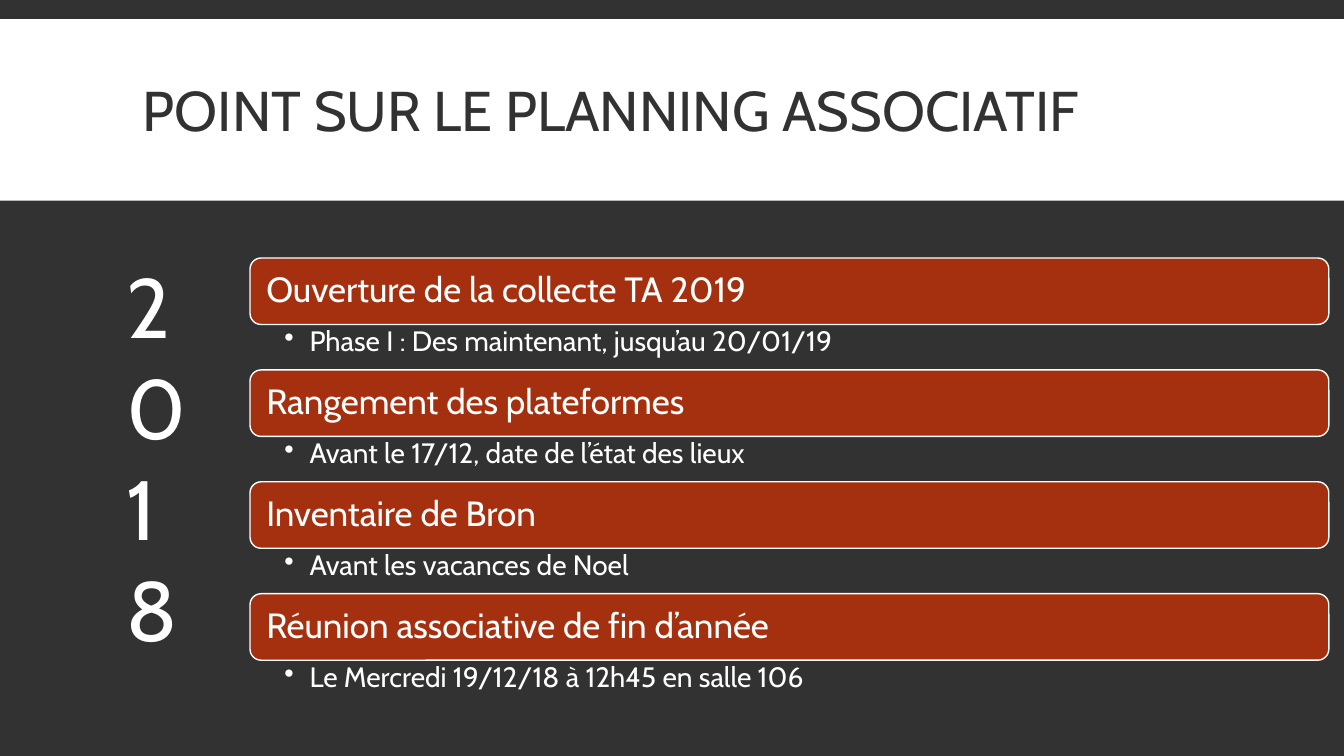
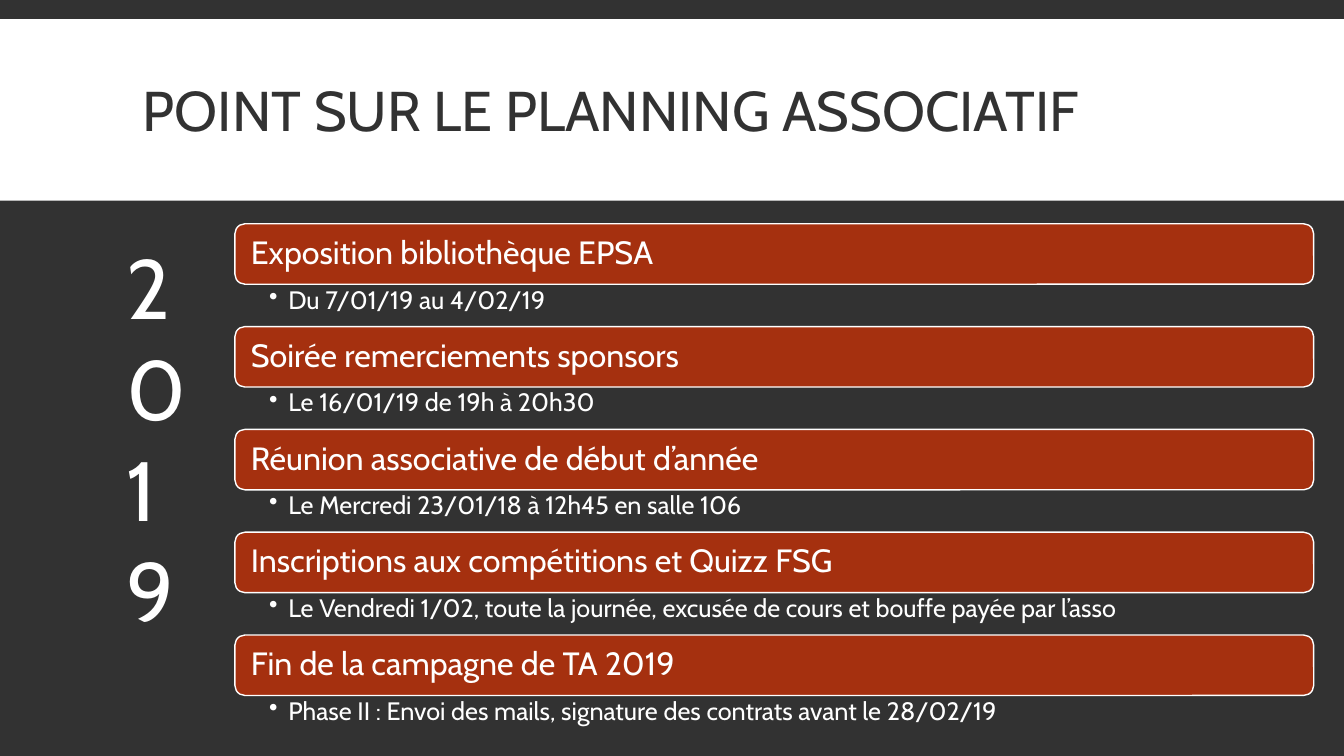
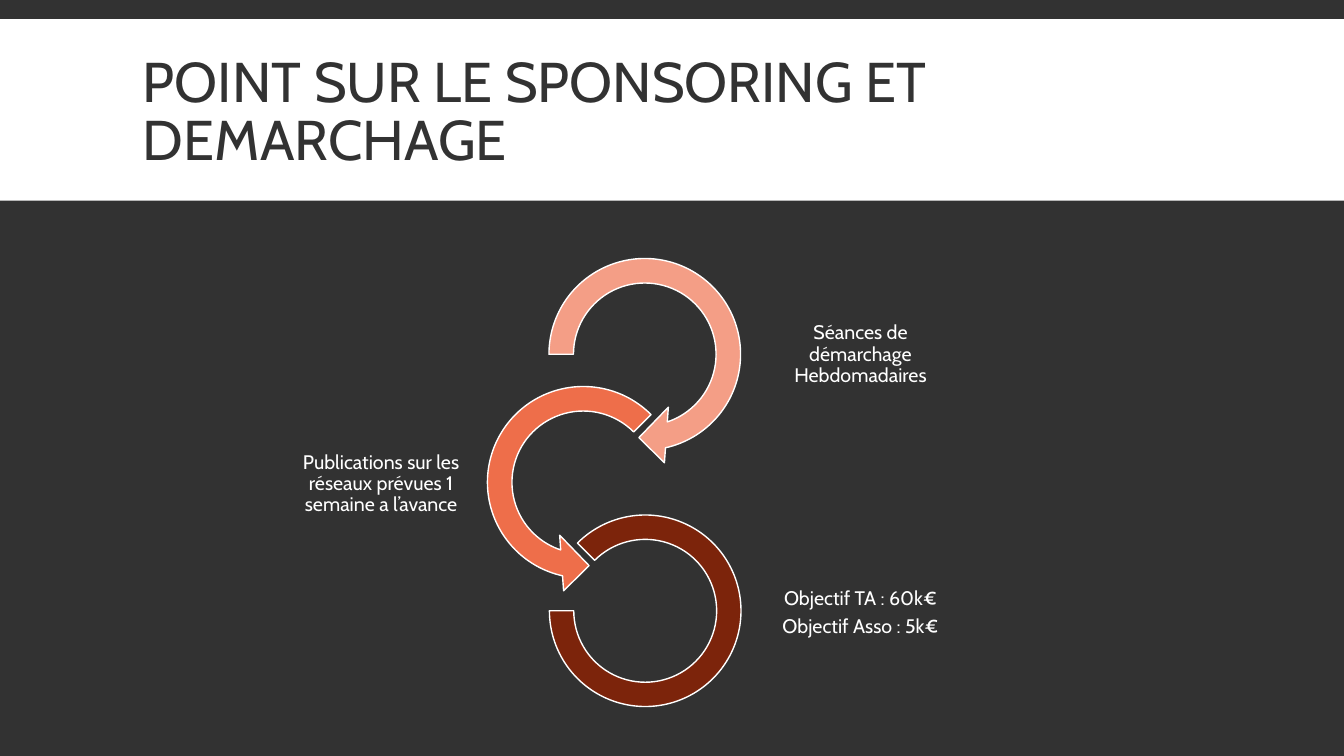
from lxml.etree import SubElement
from pptx import Presentation
from pptx.dml.color import RGBColor
from pptx.enum.shapes import MSO_SHAPE
from pptx.enum.text import MSO_ANCHOR, PP_ALIGN
from pptx.oxml.ns import qn
from pptx.util import Inches, Pt

COLOURS = {
    "dark": "323232",
    "white": "FFFFFF",
    "bar": "A5300F",
    "salmon": "F49E86",
    "orange": "EE6E4A",
    "brown": "7C240B",
}


def colour(name):
    return RGBColor.from_string(COLOURS[name])


def write(box, text, size, ink="white", align=PP_ALIGN.LEFT, anchor=MSO_ANCHOR.TOP,
          margins=(0.1, 0.05, 0.1, 0.05), spacing=0.9, after=0, hanging=None):
    frame = box.text_frame
    frame.word_wrap = True
    frame.vertical_anchor = anchor
    frame.margin_left, frame.margin_top, frame.margin_right, frame.margin_bottom = map(Inches, margins)
    for index, line in enumerate(text.split("\n")):
        para = frame.add_paragraph() if index else frame.paragraphs[0]
        if hanging:
            properties = para._p.get_or_add_pPr()
            properties.set("marL", str(Inches(hanging)))
            properties.set("indent", str(-Inches(hanging)))
            SubElement(properties, qn("a:buChar")).set("char", "•")
        para.alignment = align
        para.line_spacing = spacing
        para.space_after = Pt(after)
        span = para.add_run()
        span.text = line
        span.font.name = "Cabin"
        span.font.size = Pt(size)
        span.font.color.rgb = colour(ink)


class Planner:
    def __init__(self):
        self.deck = Presentation()
        self.deck.slide_width = Inches(13.33)
        self.deck.slide_height = Inches(7.5)
        self.page = None

    def start(self, title):
        self.page = self.deck.slides.add_slide(self.deck.slide_layouts[6])
        background = self.page.background.fill
        background.solid()
        background.fore_color.rgb = colour("dark")
        self.shape(MSO_SHAPE.RECTANGLE, 0, 0.19, 13.33, 1.8, "white", outlined=False)
        self.label(title, 1.32, 0.31, 10.7, 1.65, size=40, ink="dark",
                   anchor=MSO_ANCHOR.MIDDLE, spacing=0.85)

    def shape(self, kind, left, top, width, height, fill, outlined=True, adjustments=()):
        shape = self.page.shapes.add_shape(kind, *map(Inches, (left, top, width, height)))
        shape.shadow.inherit = False
        shape.fill.solid()
        shape.fill.fore_color.rgb = colour(fill)
        if outlined:
            shape.line.color.rgb = colour("white")
            shape.line.width = Pt(1)
        else:
            shape.line.fill.background()
        for index, value in enumerate(adjustments):
            shape.adjustments[index] = value
        return shape

    def label(self, text, left, top, width, height, **style):
        box = self.page.shapes.add_textbox(*map(Inches, (left, top, width, height)))
        write(box, text, **style)

    def year(self, text, top):
        self.label(text, 1.16, top, 0.88, 4.14, size=60, spacing=1)

    def agenda(self, events, left, top, pitch, bar_height, sizes, hanging):
        for index, (heading, detail) in enumerate(events):
            bar_top = top + index * pitch
            bar = self.shape(MSO_SHAPE.ROUNDED_RECTANGLE, left, bar_top, 10.7, bar_height, "bar")
            write(bar, heading, sizes[0], anchor=MSO_ANCHOR.MIDDLE, margins=(0.13, 0.1, 0.13, 0.1))
            self.label(detail, left, bar_top + bar_height, 10.7, pitch - bar_height, size=sizes[1],
                       margins=(0.34, 0.03, 0.18, 0.03), hanging=hanging)

    def caption(self, text, left, top, width):
        self.label(text, left, top, width, 0.62, size=14, align=PP_ALIGN.CENTER,
                   anchor=MSO_ANCHOR.MIDDLE, margins=(0.01,) * 4, after=5)


def main():
    planner = Planner()
    planning_title = "POINT SUR LE PLANNING ASSOCIATIF"

    planner.start(planning_title)
    planner.agenda([
        ("Ouverture de la collecte TA 2019", "Phase I : Des maintenant, jusqu’au 20/01/19"),
        ("Rangement des plateformes", "Avant le 17/12, date de l’état des lieux"),
        ("Inventaire de Bron", "Avant les vacances de Noel"),
        ("Réunion associative de fin d’année", "Le Mercredi 19/12/18 à 12h45 en salle 106"),
    ], left=2.48, top=2.56, pitch=1.11, bar_height=0.66, sizes=(25, 20), hanging=0.25)
    planner.year("2018", 2.48)

    planner.start(planning_title)
    planner.agenda([
        ("Exposition bibliothèque EPSA", "Du 7/01/19 au 4/02/19"),
        ("Soirée remerciements sponsors", "Le 16/01/19 de 19h à 20h30"),
        ("Réunion associative de début d’année", "Le Mercredi 23/01/18 à 12h45 en salle 106"),
        ("Inscriptions aux compétitions et Quizz FSG",
         "Le Vendredi 1/02, toute la journée, excusée de cours et bouffe payée par l’asso"),
        ("Fin de la campagne de TA 2019",
         "Phase II : Envoi des mails, signature des contrats avant le 28/02/19"),
    ], left=2.33, top=2.22, pitch=1.02, bar_height=0.6, sizes=(23, 18), hanging=0.19)
    planner.year("2019", 2.29)

    planner.start("POINT SUR LE SPONSORING ET DEMARCHAGE")
    planner.shape(MSO_SHAPE.CIRCULAR_ARROW, 5.29, 2.41, 2.21, 2.21, "salmon",
                  adjustments=(0.11, 11.42, 45, 108, 0.125))
    planner.caption("Séances de démarchage Hebdomadaires", 7.7, 3.21, 1.67)
    planner.shape(MSO_SHAPE.LEFT_CIRCULAR_ARROW, 4.68, 3.68, 2.21, 2.21, "orange",
                  adjustments=(0.11, 11.42, 63, 189, 0.125))
    planner.caption("Publications sur les réseaux prévues 1 semaine a l’avance", 2.87, 4.49, 1.82)
    planner.shape(MSO_SHAPE.BLOCK_ARC, 5.45, 5.11, 1.9, 1.9, "brown",
                  adjustments=(135, 108, 0.127))
    planner.caption("Objectif TA : 60k€\nObjectif Asso : 5k€", 7.6, 5.77, 1.87)

    planner.deck.save("out.pptx")


if __name__ == "__main__":
    main()
